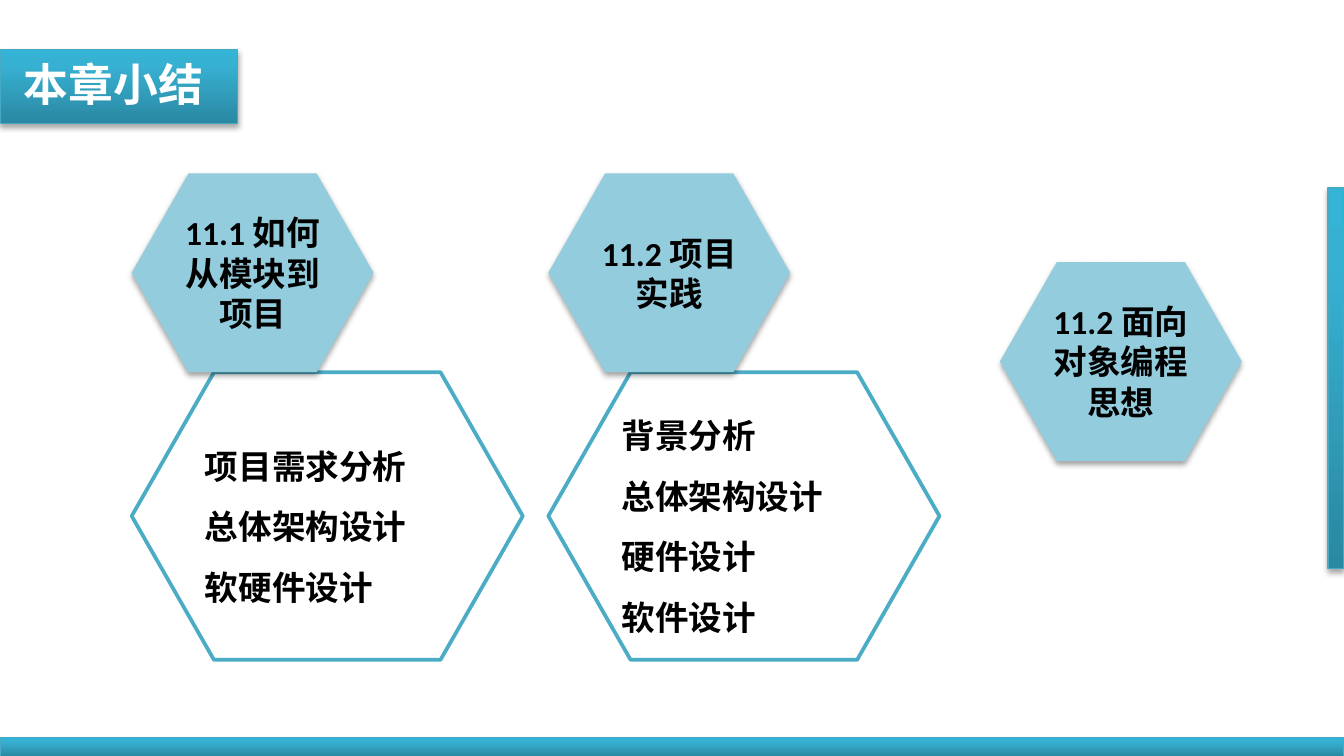
import pptx
import pptx.util
import pptx.dml.color
import pptx.enum.shapes
import pptx.enum.text
import pptx.oxml
import pptx.oxml.ns

# Content
TITLE = "本章小结"
TOPICS = [
    # left, top, heading, points
    (0.98, 1.29, "11.1 如何从模块到项目", ["项目需求分析", "总体架构设计", "软硬件设计"]),
    (4.08, 1.29, "11.2 项目实践", ["背景分析", "总体架构设计", "硬件设计", "软件设计"]),
    (7.44, 1.95, "11.2 面向对象编程思想", []),
]

# Look
COLORS = {"white": "FFFFFF", "black": "000000", "edge": "46AAC5",
          "outline": "4BACC6", "heading": "93CDDD"}
BAR_STOPS = [(0, "2A88A2"), (80, "37B1D2"), (100, "34B4D6")]
LATIN, CHINESE = "Calibri", "Noto Sans CJK SC"

# Layout in inches, on a 16:9 slide
WIDTH = 10
HEIGHT = WIDTH * 9 / 16
BARS = [(0, 5.49, WIDTH, 0.14), (9.88, 1.4, 0.12, 2.83), (0, 0.37, 1.77, 0.55)]
HEADING_SIZE = (1.8, 1.48)
POINTS_SIZE = (2.91, 2.14)

SHAPE = pptx.enum.shapes.MSO_SHAPE
ALIGN = pptx.enum.text.PP_ALIGN
NAMESPACE = pptx.oxml.ns.nsdecls("a")


def rgb(name):
    return pptx.dml.color.RGBColor.from_string(COLORS[name])


def inches(*lengths):
    return [pptx.util.Inches(length) for length in lengths]


def add_shape(page, kind, area, fill, line=None, line_width=0.75, shadow=False):
    shape = page.shapes.add_shape(kind, *inches(*area))
    shape.fill.solid()
    shape.fill.fore_color.rgb = rgb(fill)
    if line:
        shape.line.color.rgb = rgb(line)
        shape.line.width = pptx.util.Pt(line_width)
    else:
        shape.line.fill.background()
    shape.shadow.inherit = False
    if shadow:
        effects = shape.element.spPr.find(pptx.oxml.ns.qn("a:effectLst"))
        effects.append(pptx.oxml.parse_xml(
            f'<a:outerShdw {NAMESPACE} blurRad="40000" dist="23000" dir="5400000" '
            'rotWithShape="0"><a:srgbClr val="000000"><a:alpha val="35000"/>'
            '</a:srgbClr></a:outerShdw>'))
    return shape


def add_bar(page, area):
    bar = add_shape(page, SHAPE.RECTANGLE, area, "edge", "edge", shadow=True)
    stops = "".join(f'<a:gs pos="{share * 1000}"><a:srgbClr val="{color}"/></a:gs>'
                    for share, color in BAR_STOPS)
    gradient = pptx.oxml.parse_xml(
        f'<a:gradFill {NAMESPACE} rotWithShape="1"><a:gsLst>{stops}</a:gsLst>'
        '<a:lin ang="16200000" scaled="0"/></a:gradFill>')
    properties = bar.element.spPr
    properties.replace(properties.find(pptx.oxml.ns.qn("a:solidFill")), gradient)


def add_hexagon(page, area, fill, **look):
    hexagon = add_shape(page, SHAPE.HEXAGON, area, fill, **look)
    hexagon.adjustments[0] = 0.286
    hexagon.text_frame.vertical_anchor = pptx.enum.text.MSO_ANCHOR.MIDDLE
    return hexagon


def write(box, lines, size=18, color="black", font=LATIN, align=ALIGN.LEFT, spacing=None):
    frame = box.text_frame
    frame.word_wrap = True
    for index, line in enumerate(lines):
        para = frame.add_paragraph() if index else frame.paragraphs[0]
        para.alignment = align
        para.line_spacing = spacing
        span = para.add_run()
        span.text = line
        span.font.size = pptx.util.Pt(size)
        span.font.bold = True
        span.font.color.rgb = rgb(color)
        span.font.name = font
        span.font._element.find(pptx.oxml.ns.qn("a:latin")).addnext(
            pptx.oxml.parse_xml(f'<a:ea {NAMESPACE} typeface="{CHINESE}"/>'))


def main():
    deck = pptx.Presentation()
    deck.slide_width, deck.slide_height = inches(WIDTH, HEIGHT)
    page = deck.slides.add_slide(deck.slide_layouts[6])

    # Bars and title
    for area in BARS:
        add_bar(page, area)
    title = page.shapes.add_textbox(*inches(0.08, 0.37, 1.69, 0.5))
    write(title, [TITLE], size=24, color="white", font=CHINESE)

    # Topics: the points hang below their heading
    for left, top, heading, points in TOPICS:
        if points:
            area = (left, top + HEADING_SIZE[1], *POINTS_SIZE)
            box = add_hexagon(page, area, "white", line="outline", line_width=2)
            write(box, points, spacing=1.5)
        box = add_hexagon(page, (left, top, *HEADING_SIZE), "heading", shadow=True)
        write(box, [heading], align=ALIGN.CENTER)

    deck.save("out.pptx")


if __name__ == "__main__":
    main()
